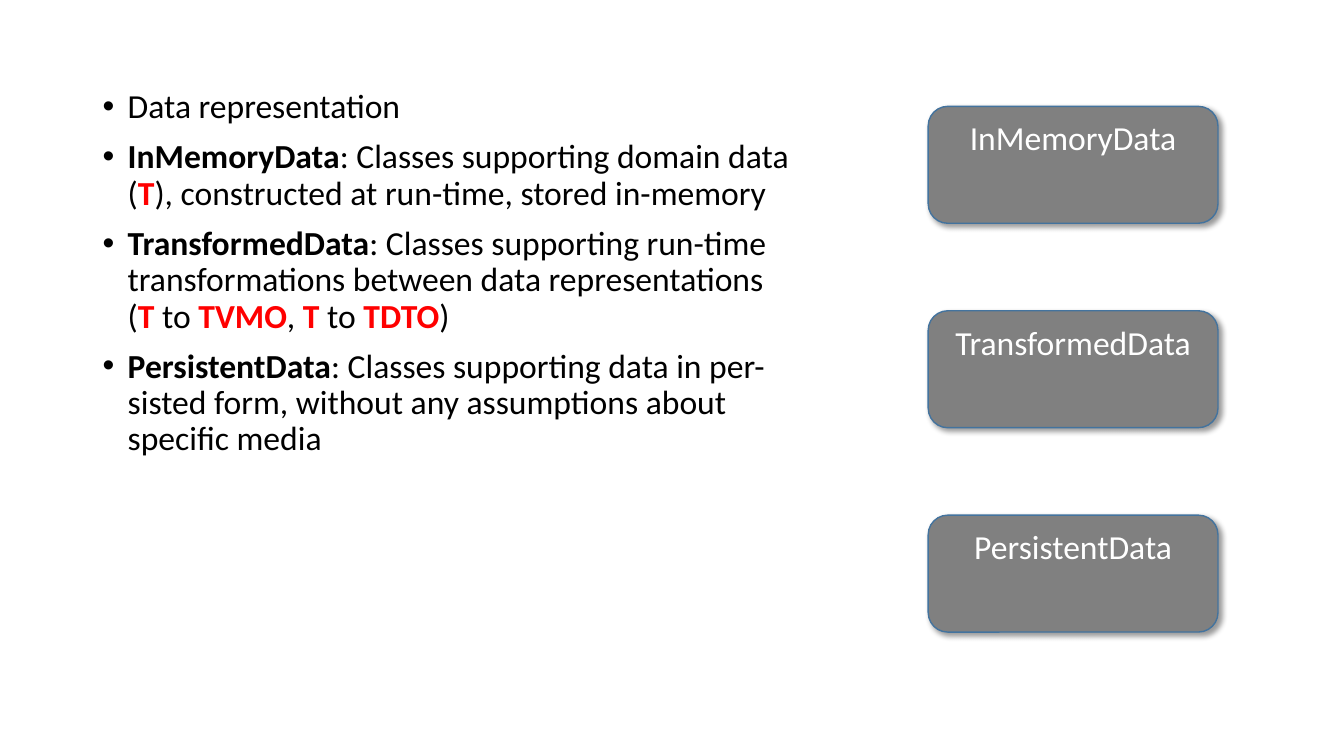
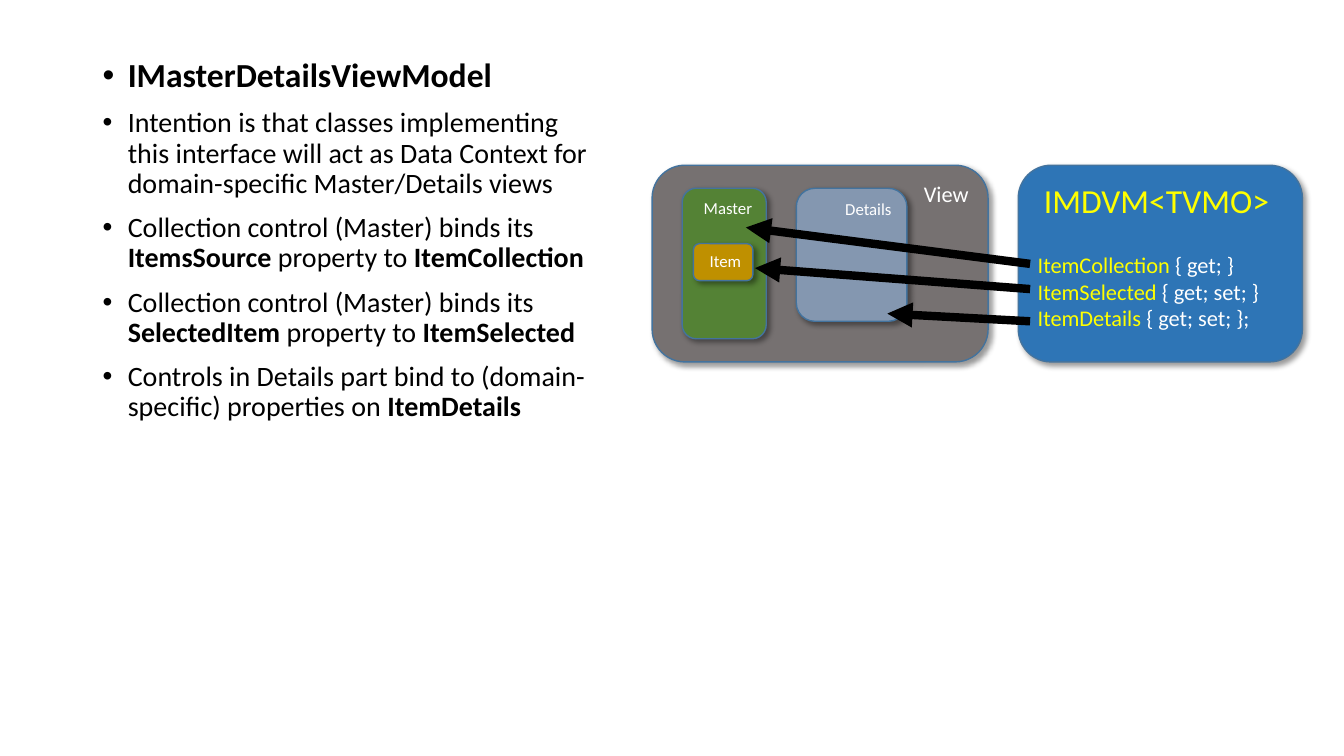
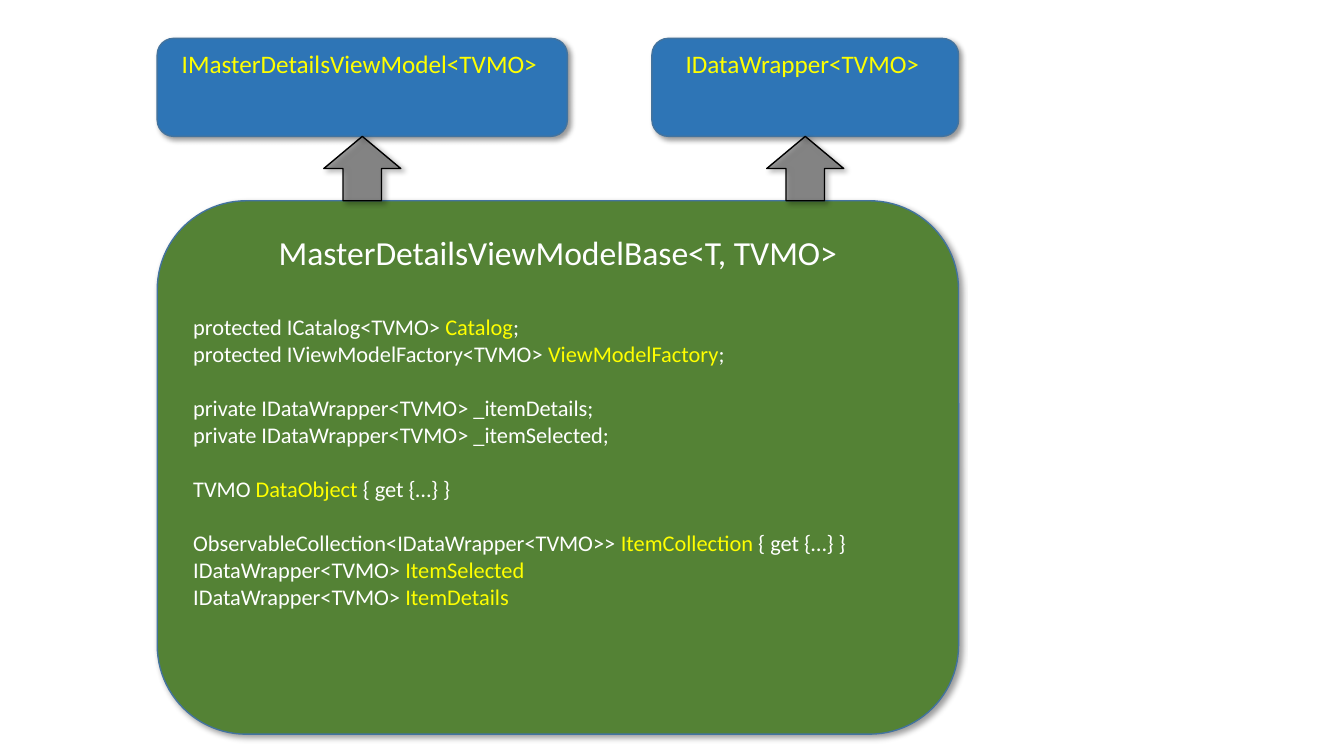
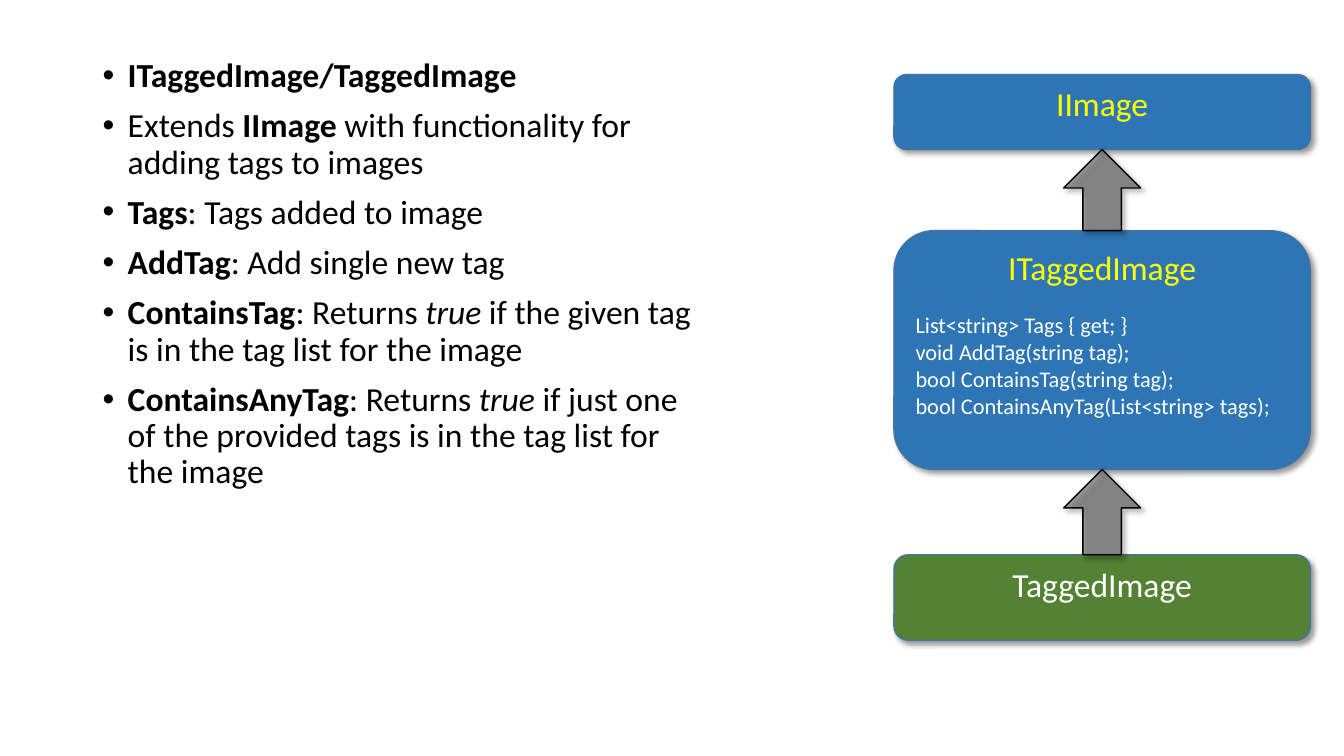
from lxml.etree import SubElement
from pptx import Presentation
from pptx.dml.color import RGBColor
from pptx.enum.shapes import MSO_CONNECTOR, MSO_SHAPE
from pptx.enum.text import MSO_ANCHOR, PP_ALIGN
from pptx.oxml.ns import qn
from pptx.util import Pt

FONT = "Calibri"
BLACK, WHITE, RED, YELLOW = "000000", "FFFFFF", "FF0000", "FFFF00"
BLUE, GREEN, GRAY, STONE = "2E75B6", "548235", "808080", "767171"
STEEL, GOLD, EDGE, ARROW = "8497B0", "BF9000", "43739E", "595959"
LEFT, MID, RIGHT = PP_ALIGN.LEFT, PP_ALIGN.CENTER, PP_ALIGN.RIGHT

deck = Presentation()
deck.slide_width, deck.slide_height = Pt(960), Pt(540)


def tint(part, color):
    part.rgb = RGBColor.from_string(color)


def node(parent, tag, **attrs):
    return SubElement(parent, qn(tag), {k: str(v) for k, v in attrs.items()})


def new_slide():
    return deck.slides.add_slide(deck.slide_layouts[6])


# Text: pieces between bars open with a mark: * bold, ! red, / italic, ^ yellow
def write(para, text, size, color):
    for i, piece in enumerate(text.split("|")):
        if not piece:
            continue
        mark = piece[0] if i % 2 else ""
        run = para.add_run()
        run.text = piece[1:] if mark else piece
        font = run.font
        font.name, font.size = FONT, Pt(size)
        font.bold = mark in ("*", "!")
        font.italic = mark == "/"
        tint(font.color, {"!": RED, "^": YELLOW}.get(mark, color))


def bullets(slide, place, lines, size=24):
    frame = slide.shapes.add_textbox(*map(Pt, place)).text_frame
    frame.word_wrap = True
    for i, line in enumerate(lines):
        para = frame.add_paragraph() if i else frame.paragraphs[0]
        para.line_spacing, para.space_before = 0.9, Pt(10)
        props = para._p.get_or_add_pPr()
        props.set("marL", str(Pt(18)))
        props.set("indent", str(-Pt(18)))
        node(props, "a:buFont", typeface="Arial")
        node(props, "a:buChar", char="•")
        write(para, line, size if i else 24, BLACK)


# Shapes with the shared soft shadow
def solid(slide, kind, place, fill, edge):
    shape = slide.shapes.add_shape(kind, *map(Pt, place))
    shape.fill.solid()
    tint(shape.fill.fore_color, fill)
    tint(shape.line.color, edge)
    shape.line.width = Pt(1)
    shape.shadow.inherit = False
    glow = node(shape._element.spPr.find(qn("a:effectLst")), "a:outerShdw",
                blurRad=Pt(4), dist=Pt(3), dir=45 * 60000, algn="tl", rotWithShape=0)
    node(node(glow, "a:srgbClr", val=BLACK), "a:alpha", val=40000)
    return shape


def box(slide, place, fill, title, size=24, color=WHITE, align=MID, code=(), gap=0):
    """Rounded box with a title and, below a gap, lines of code; "" opens a new group."""
    shape = solid(slide, MSO_SHAPE.ROUNDED_RECTANGLE, place, fill, EDGE)
    frame = shape.text_frame
    frame.word_wrap, frame.vertical_anchor = True, MSO_ANCHOR.TOP
    frame.paragraphs[0].alignment = align
    write(frame.paragraphs[0], title, size, color)
    for line in code:
        if not line:
            gap = 19.5
            continue
        para = frame.add_paragraph()
        para.alignment, para.space_before = LEFT, Pt(gap)
        write(para, line, 16, WHITE)
        gap = 0


def link(slide, upper, lower):
    """Block arrow from the lower box up to the middle of the upper one."""
    x, y, w, h = upper
    wide, foot = 55, y + h
    place = (x + (w - wide) / 2, foot, wide, lower[1] - foot)
    shape = solid(slide, MSO_SHAPE.UP_ARROW, place, ARROW, BLACK)
    color = shape._element.spPr.find(qn("a:solidFill"))[0]
    node(color, "a:alpha", val=60000)


def arrow(slide, start, end):
    line = slide.shapes.add_connector(MSO_CONNECTOR.STRAIGHT, *map(Pt, start + end))
    tint(line.line.color, BLACK)
    line.line.width = Pt(6)
    node(line.line._get_or_add_ln(), "a:tailEnd", type="triangle")
    node(line._element.spPr, "a:effectLst")


# Slide 1: data forms
def stack(slide, place, names, step):
    x, y, w, h = place
    for i, name in enumerate(names):
        box(slide, (x, y + i * step, w, h), GRAY, name)


slide = new_slide()
stack(slide, (663, 76, 207, 83.5),
      ["InMemoryData", "TransformedData", "PersistentData"], 146)
bullets(slide, (66.2, 60.5, 510, 426), [
    "Data representation",
    "|*InMemoryData|: Classes supporting domain data (|!T|), constructed at run-time, "
    "stored in-memory",
    "|*TransformedData|: Classes supporting run-time transformations between data "
    "representations (|!T| to |!TVMO|, |!T| to |!TDTO|)",
    "|*PersistentData|: Classes supporting data in per-sisted form, without any "
    "assumptions about specific media",
])


# Slide 2: view bound to its view model
def binding(slide, place):
    x, y, w, h = place
    model = x + 261.5
    box(slide, (model, y, 203, h), BLUE, "IMDVM<TVMO> ", color=YELLOW, gap=22, code=[
        "|^ItemCollection |{ get; }",
        "|^ItemSelected |{ get; set; }",
        "|^ItemDetails |{ get; set; };",
    ])
    box(slide, (x, y, w, h), STONE, "View", 16, align=RIGHT)
    for name, fill, dx, dy, wide, high in [
        ("Master", GREEN, 21.5, 16.5, 60, 107.5),
        ("Details", STEEL, 103, 16.5, 79, 95),
        ("Item", GOLD, 29.5, 56, 42.5, 26.5),
    ]:
        box(slide, (x + dx, y + dy, wide, high), fill, name, 12, align=RIGHT)
    for rise, dx, dy in [(111.5, 168, 106), (88.5, 73.5, 73.5), (70.5, 67, 44.5)]:
        arrow(slide, (model + 8.5, y + rise), (x + dx, y + dy))


slide = new_slide()
bullets(slide, (66.2, 38.2, 361.4, 444), [
    "|*IMasterDetailsViewModel|",
    "Intention is that classes implementing this interface will act as Data Context "
    "for domain-specific Master/Details views",
    "Collection control (Master) binds its |*ItemsSource |property to |*ItemCollection|",
    "Collection control (Master) binds its |*SelectedItem |property to |*ItemSelected|",
    "Controls in Details part bind to (domain-specific) properties on |*ItemDetails|",
], 20)
binding(slide, (465.8, 118, 240, 140.5))


# Slide 3: base class and its two interfaces
def parents(slide, place):
    x, y, w, h = place
    base = (x, y + 116, w, h - 116)
    box(slide, base, GREEN, "MasterDetailsViewModelBase<T, TVMO>", gap=29.3, code=[
        "protected ICatalog<TVMO> |^Catalog|;",
        "protected IViewModelFactory<TVMO> |^ViewModelFactory|;",
        "",
        "private IDataWrapper<TVMO> _itemDetails;",
        "private IDataWrapper<TVMO> _itemSelected;",
        "",
        "TVMO |^DataObject| { get {…} }",
        "",
        "ObservableCollection<IDataWrapper<TVMO>> |^ItemCollection| { get {…} }",
        "IDataWrapper<TVMO> |^ItemSelected|",
        "IDataWrapper<TVMO> |^ItemDetails|",
    ])
    for name, left, wide in [
        ("IMasterDetailsViewModel<TVMO> ", x, 293),
        ("IDataWrapper<TVMO> ", x + w - 219, 219),
    ]:
        top = (left, y, wide, 70)
        box(slide, top, BLUE, name, 18, YELLOW)
        link(slide, top, base)


parents(new_slide(), (112.3, 27.4, 572.4, 497))


# Slide 4: chain of image types
def chain(slide, place):
    x, y, w, h = place
    top = (x, y, w, 53.5)
    mid = (x, y + 111.5, w, 170.5)
    low = (x, y + h - 61, w, 61)
    box(slide, mid, BLUE, "ITaggedImage", color=YELLOW, gap=17, code=[
        "List<string> Tags { get; }",
        "void AddTag(string tag);",
        "bool ContainsTag(string tag);",
        "bool ContainsAnyTag(List<string> tags);",
    ])
    box(slide, low, GREEN, "TaggedImage")
    link(slide, mid, low)
    box(slide, top, BLUE, "IImage", color=YELLOW)
    link(slide, top, mid)


slide = new_slide()
bullets(slide, (66.2, 38.2, 437, 444), [
    "|*ITaggedImage/TaggedImage|",
    "Extends |*IImage| with functionality for adding tags to images",
    "|*Tags|: Tags added to image",
    "|*AddTag|: Add single new tag",
    "|*ContainsTag|: Returns |/true| if the given tag is in the tag list for the image",
    "|*ContainsAnyTag|: Returns |/true| if just one of the provided tags is in the tag "
    "list for the image",
])
chain(slide, (638.6, 53.3, 297.4, 404))

deck.save("out.pptx")
